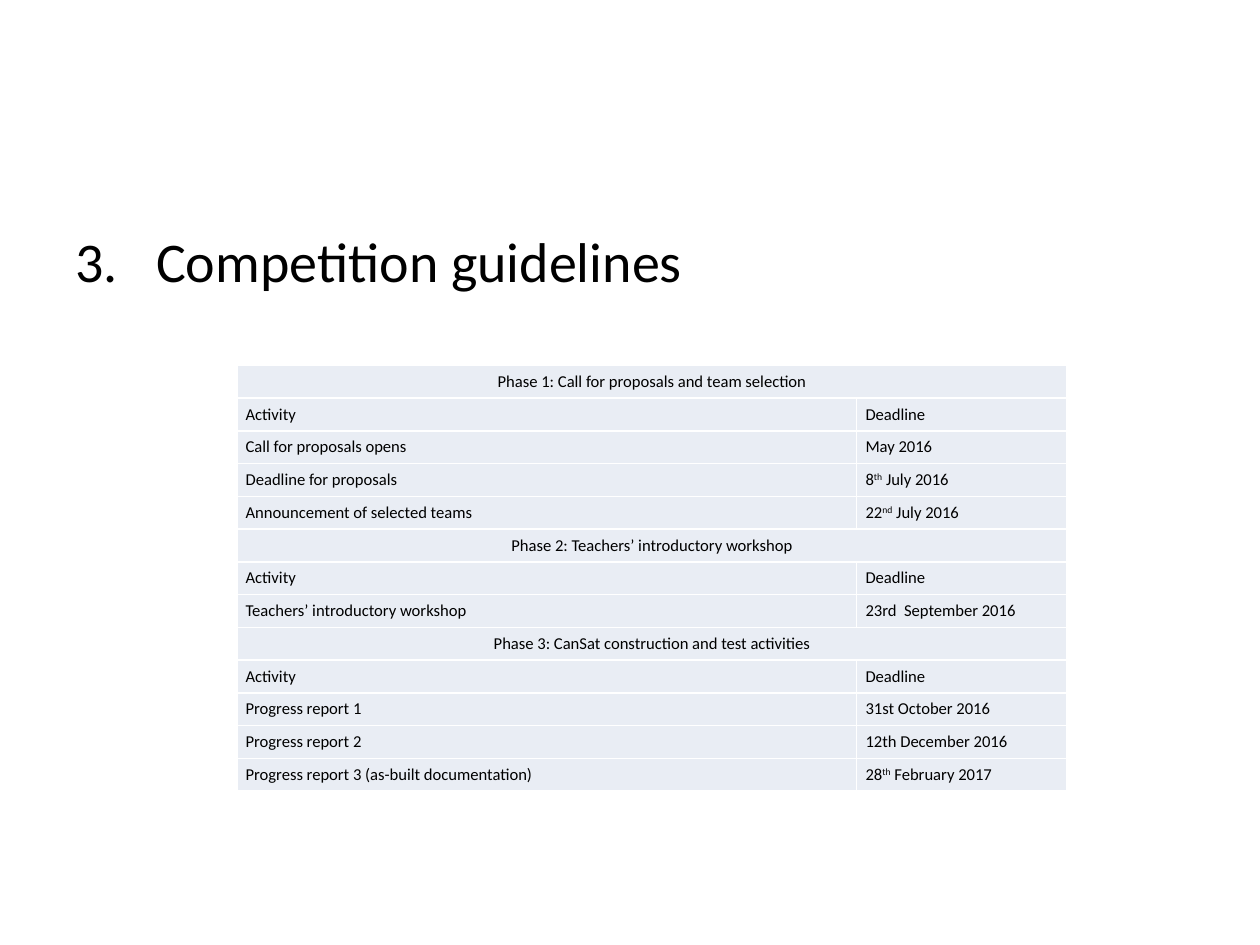
from lxml import etree
from pptx import Presentation
from pptx.dml.color import RGBColor
from pptx.enum.text import MSO_ANCHOR, PP_ALIGN
from pptx.oxml.ns import qn
from pptx.util import Inches, Pt

MIDDLE = MSO_ANCHOR.MIDDLE
CENTER, LEFT = PP_ALIGN.CENTER, PP_ALIGN.LEFT
FONT = "Calibri"
COLORS = {"text": "000000", "cell": "E9EDF4", "border": "FFFFFF"}
ROW_HEIGHT = 0.26
COLUMN_WIDTHS = (4.92, 1.67)

# Each phase has a title and its activities; ^ marks off a raised ordinal
PHASES = [
    ("Phase 1: Call for proposals and team selection", [
        ("Call for proposals opens", "May 2016"),
        ("Deadline for proposals", "8^th^ July 2016"),
        ("Announcement of selected teams", "22^nd^ July 2016"),
    ]),
    ("Phase 2: Teachers’ introductory workshop", [
        ("Teachers’ introductory workshop", "23rd  September 2016"),
    ]),
    ("Phase 3: CanSat construction and test activities", [
        ("Progress report 1", "31st October 2016"),
        ("Progress report 2", "12th December 2016"),
        ("Progress report 3 (as-built documentation)", "28^th^ February 2017"),
    ]),
]


def format_run(run, size):
    run.font.name = FONT
    run.font.size = Pt(size)
    run.font.color.rgb = RGBColor.from_string(COLORS["text"])


def add_heading(slide, text):
    shape = slide.shapes.add_textbox(Inches(0.5), Inches(1.75), Inches(9), Inches(4.95))
    shape.text_frame.word_wrap = True
    paragraph = shape.text_frame.paragraphs[0]
    paragraph.text = text
    paragraph.space_before = Pt(6.4)
    # Hanging indent for the number
    properties = paragraph._p.get_or_add_pPr()
    properties.set("marL", str(Inches(0.64)))
    properties.set("indent", str(-Inches(0.64)))
    format_run(paragraph.runs[0], 32)


def set_borders(cell):
    properties = cell._tc.get_or_add_tcPr()
    for position, side in enumerate(("a:lnL", "a:lnR", "a:lnT", "a:lnB")):
        line = etree.Element(qn(side), w=str(Pt(1)))
        fill = etree.SubElement(line, qn("a:solidFill"))
        etree.SubElement(fill, qn("a:srgbClr"), val=COLORS["border"])
        properties.insert(position, line)


def style_cell(cell):
    cell.fill.solid()
    cell.fill.fore_color.rgb = RGBColor.from_string(COLORS["cell"])
    cell.vertical_anchor = MIDDLE
    cell.margin_left = cell.margin_right = Inches(0.07)
    cell.margin_top = cell.margin_bottom = 0
    set_borders(cell)


def fill_cell(cell, text, alignment=LEFT):
    paragraph = cell.text_frame.paragraphs[0]
    paragraph.alignment = alignment
    for index, part in enumerate(text.split("^")):
        run = paragraph.add_run()
        run.text = part
        format_run(run, 9.5)
        if index % 2:
            run.font._element.set("baseline", "30000")


def schedule_rows():
    rows = []
    for title, activities in PHASES:
        rows += [(title,), ("Activity", "Deadline"), *activities]
    return rows


def add_schedule(slide):
    rows = schedule_rows()
    frame = slide.shapes.add_table(
        len(rows), len(COLUMN_WIDTHS), Inches(1.88), Inches(2.9),
        Inches(sum(COLUMN_WIDTHS)), Inches(ROW_HEIGHT * len(rows)))
    table = frame.table
    table.first_row = table.horz_banding = False
    for column, width in zip(table.columns, COLUMN_WIDTHS):
        column.width = Inches(width)
    for row_index, texts in enumerate(rows):
        table.rows[row_index].height = Inches(ROW_HEIGHT)
        for cell in table.rows[row_index].cells:
            style_cell(cell)
        is_title = len(texts) == 1
        if is_title:
            table.cell(row_index, 0).merge(table.cell(row_index, 1))
        for column_index, text in enumerate(texts):
            fill_cell(table.cell(row_index, column_index), text,
                      CENTER if is_title else LEFT)


def main():
    presentation = Presentation()
    presentation.slide_width = Inches(10)
    presentation.slide_height = Inches(7.5)
    slide = presentation.slides.add_slide(presentation.slide_layouts[6])
    add_heading(slide, "3.\tCompetition guidelines")
    add_schedule(slide)
    presentation.save("out.pptx")


main()
